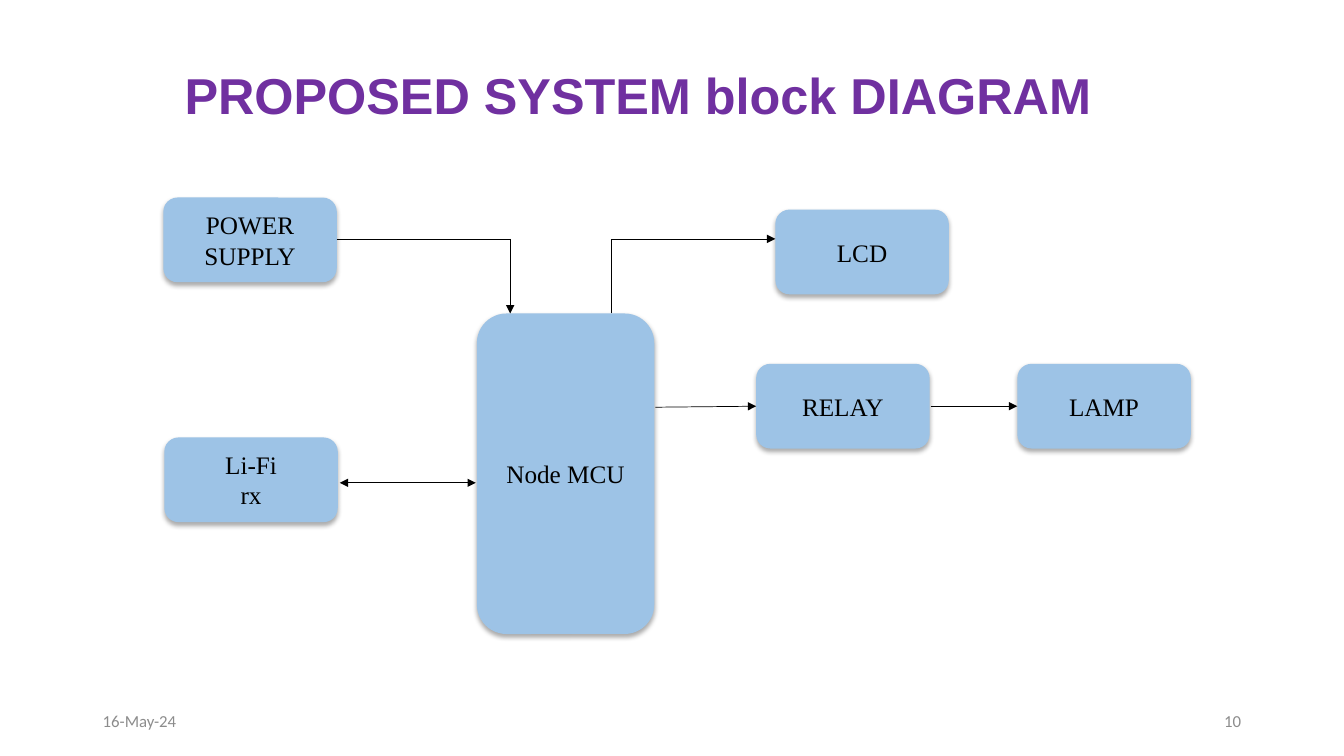
"""Build the block diagram slide of the proposed Li-Fi system."""
from lxml.etree import SubElement as Sub
from pptx import Presentation
from pptx.dml.color import RGBColor as RGB
from pptx.enum.shapes import MSO_CONNECTOR as Conn, MSO_SHAPE as Form
from pptx.enum.text import MSO_ANCHOR as Anchor, MSO_AUTO_SIZE as Fit, PP_ALIGN as Align
from pptx.oxml.ns import qn
from pptx.util import Pt

PX = 9144
HUES = {"title": "7030A0", "block": "9DC3E6", "ink": "000000", "note": "8C8C8C"}


def write(shape, text, size=18, font="Times New Roman", hue="ink", bold=False,
          align=Align.CENTER, anchor=Anchor.MIDDLE):
    frame = shape.text_frame
    frame.text = text
    frame.word_wrap = True
    frame.auto_size = Fit.NONE
    frame.vertical_anchor = anchor
    for par in frame.paragraphs:
        par.alignment = align
        par.font.size = Pt(size)
        par.font.name = font
        par.font.bold = bold
        par.font.color.rgb = RGB.from_string(HUES[hue])


deck = Presentation()
deck.slide_width, deck.slide_height = 1333 * PX, 750 * PX
slide = deck.slides.add_slide(deck.slide_layouts[5])
shapes = slide.shapes

title = shapes.title
title.left, title.top, title.width, title.height = [n * PX for n in (173, 59, 1029, 71)]
write(title, "PROPOSED SYSTEM block DIAGRAM", size=36, font="Arial", hue="title",
      bold=True, align=Align.LEFT, anchor=Anchor.TOP)

for text, left, align in [("16-May-24", 92, Align.LEFT), ("10", 941, Align.RIGHT)]:
    note = shapes.add_textbox(left * PX, 695 * PX, 300 * PX, 40 * PX)
    write(note, text, size=12, font="Calibri", hue="note", align=align)

WIDE, HIGH = 172, 84
blocks = [
    ("POWER\nSUPPLY", 162, 196, WIDE, HIGH),
    ("LCD", 769, 208, WIDE, HIGH),
    ("Node MCU", 473, 311, 176, 318),
    ("RELAY", 750, 361, WIDE, HIGH),
    ("LAMP", 1009, 361, WIDE, HIGH),
    ("Li-Fi\nrx", 163, 434, WIDE, HIGH),
]
for text, *spot in blocks:
    block = shapes.add_shape(Form.ROUNDED_RECTANGLE, *[n * PX for n in spot])
    block.fill.solid()
    block.fill.fore_color.rgb = RGB.from_string(HUES["block"])
    block.line.fill.background()
    block.shadow.inherit = False
    glow = block.element.spPr.find(qn("a:effectLst"))
    shade = Sub(glow, qn("a:outerShdw"), blurRad=str(Pt(3.5)), dist=str(Pt(2.2)),
                dir="5400000", algn="ctr", rotWithShape="0")
    tint = Sub(shade, qn("a:srgbClr"), val=HUES["ink"])
    Sub(tint, qn("a:alpha"), val="32000")
    write(block, text)

links = [
    (334, 237, 506, 237, ()),
    (506, 237, 506, 311, ("tailEnd",)),
    (606, 311, 606, 237, ()),
    (606, 237, 769, 237, ("tailEnd",)),
    (650, 404, 750, 403, ("tailEnd",)),
    (923, 403, 1009, 403, ("tailEnd",)),
    (337, 479, 472, 479, ("headEnd", "tailEnd")),
]
for *ends, tips in links:
    link = shapes.add_connector(Conn.STRAIGHT, *[n * PX for n in ends])
    link.line.width = Pt(0.5)
    link.line.color.rgb = RGB.from_string(HUES["ink"])
    props = link.element.spPr
    for tip in tips:
        Sub(props.find(qn("a:ln")), qn(f"a:{tip}"), type="triangle")
    Sub(props, qn("a:effectLst"))

deck.save("out.pptx")
